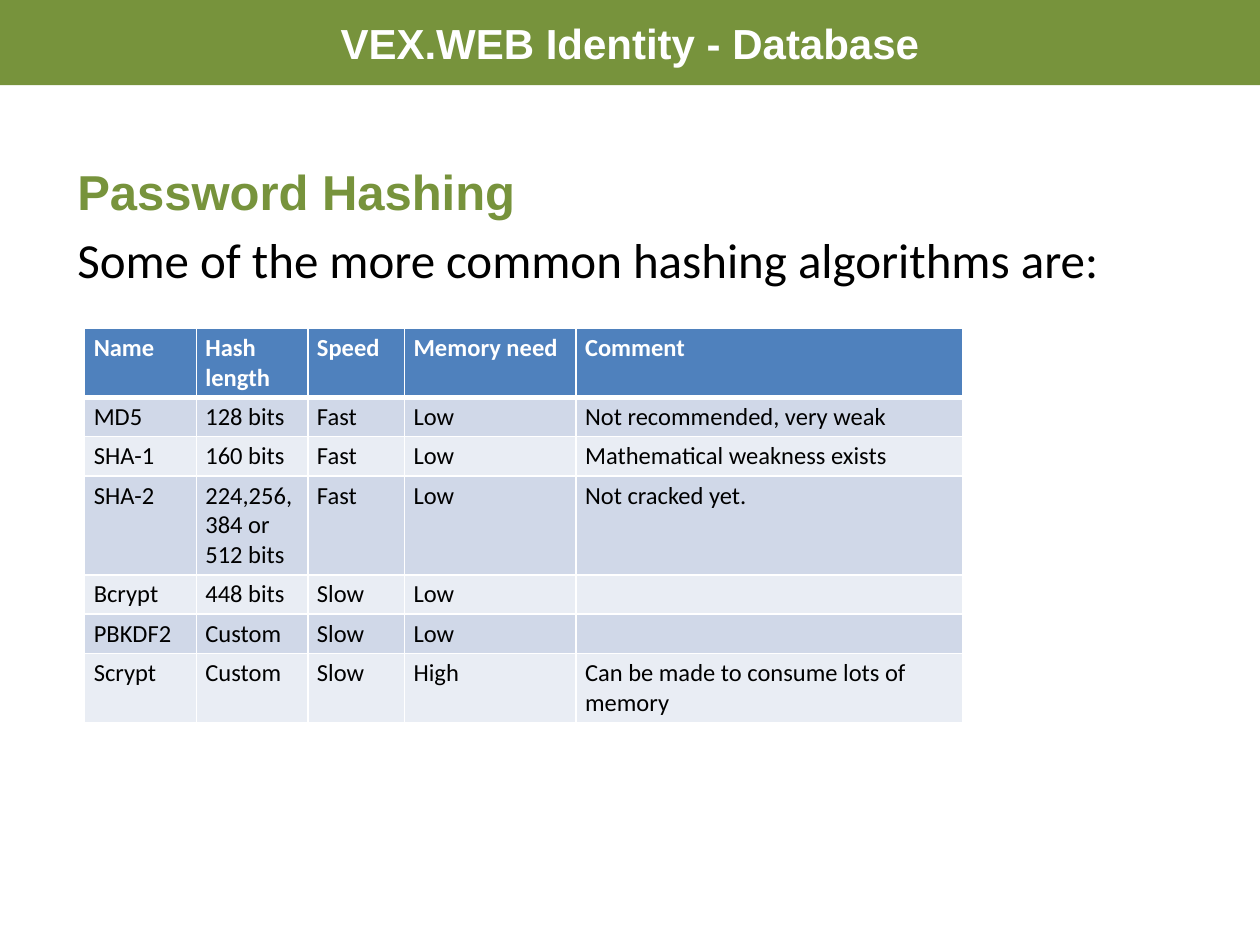
from dataclasses import dataclass

from lxml.etree import SubElement
from pptx import Presentation
from pptx.dml.color import RGBColor
from pptx.enum.text import MSO_ANCHOR, PP_ALIGN
from pptx.oxml.ns import qn
from pptx.util import Pt


@dataclass(frozen=True)
class Theme:
    """Colours, fonts and type sizes of the slide."""
    green: str = "77933C"
    white: str = "FFFFFF"
    black: str = "000000"
    header: str = "4F81BD"
    bands: tuple = ("D0D8E8", "E9EDF4")
    heading_font: str = "Arial"
    body_font: str = "Calibri"
    title_size: int = 24
    body_size: int = 28
    table_size: int = 14


def format_runs(p, font, size, color, bold):
    """Format every run of a paragraph."""
    for r in p.runs:
        r.font.name = font
        r.font.size = Pt(size)
        r.font.color.rgb = RGBColor.from_string(color)
        r.font.bold = bold


def place(sp, left, top, width, height):
    """Move and size a shape, in points."""
    sp.left, sp.top = Pt(left), Pt(top)
    sp.width, sp.height = Pt(width), Pt(height)


theme = Theme()
prs = Presentation()
prs.slide_width, prs.slide_height = Pt(720), Pt(540)
s = prs.slides.add_slide(prs.slide_layouts[0])

# Title bar
title = s.shapes.title
place(title, 0, 0, 720, 48.6)
title.fill.solid()
title.fill.fore_color.rgb = RGBColor.from_string(theme.green)
tf = title.text_frame
tf.text = "VEX.WEB Identity - Database"
tf.vertical_anchor = MSO_ANCHOR.MIDDLE
tf.paragraphs[0].alignment = PP_ALIGN.CENTER
format_runs(tf.paragraphs[0], theme.heading_font, theme.title_size, theme.white, True)

# Heading and introduction
body = s.placeholders[1]
place(body, 37, 88.5, 623.5, 383)
tf = body.text_frame
tf.text = "Password Hashing\nSome of the more common hashing algorithms are:"
heading, intro = tf.paragraphs
format_runs(heading, theme.heading_font, theme.body_size, theme.green, True)
format_runs(intro, theme.body_font, theme.body_size, theme.black, False)
for p in tf.paragraphs:
    p.alignment = PP_ALIGN.LEFT

# Table of algorithms; the default table style supplies the thin white borders
rows = [
    ("Name", "Hash length", "Speed", "Memory need", "Comment"),
    ("MD5", "128 bits", "Fast", "Low", "Not recommended, very weak"),
    ("SHA-1", "160 bits", "Fast", "Low", "Mathematical weakness exists"),
    ("SHA-2", "224,256,384 or 512 bits", "Fast", "Low", "Not cracked yet."),
    ("Bcrypt", "448 bits", "Slow", "Low", ""),
    ("PBKDF2", "Custom", "Slow", "Low", ""),
    ("Scrypt", "Custom", "Slow", "High", "Can be made to consume lots of memory"),
]
col_widths = [63.8, 63.8, 55.2, 98, 221]
row_heights = [38.2, 21.6, 21.6, 54, 21.6, 21.6, 38.2]
table = s.shapes.add_table(len(rows), len(col_widths), Pt(48.4), Pt(187.6),
                           Pt(sum(col_widths)), Pt(sum(row_heights))).table
for column, width in zip(table.columns, col_widths):
    column.width = Pt(width)
for i, (row, height, texts) in enumerate(zip(table.rows, row_heights, rows)):
    row.height = Pt(height)
    is_header = i == 0
    fill = theme.header if is_header else theme.bands[(i - 1) % 2]
    color = theme.white if is_header else theme.black
    for cell, text in zip(row.cells, texts):
        cell.margin_left = cell.margin_right = Pt(5.2)
        cell.margin_top = cell.margin_bottom = Pt(2.7)
        if is_header:  # thick rule under the header; borders precede the fill
            line = SubElement(cell._tc.get_or_add_tcPr(), qn("a:lnB"), w=str(Pt(3)))
            SubElement(SubElement(line, qn("a:solidFill")), qn("a:srgbClr"), val=theme.white)
        cell.fill.solid()
        cell.fill.fore_color.rgb = RGBColor.from_string(fill)
        cell.text = text
        p = cell.text_frame.paragraphs[0]
        format_runs(p, theme.body_font, theme.table_size, color, is_header)
        if not text:  # keeps an empty cell from stretching its row
            SubElement(p._p, qn("a:endParaRPr"), sz=str(theme.table_size * 100))

prs.save("out.pptx")
